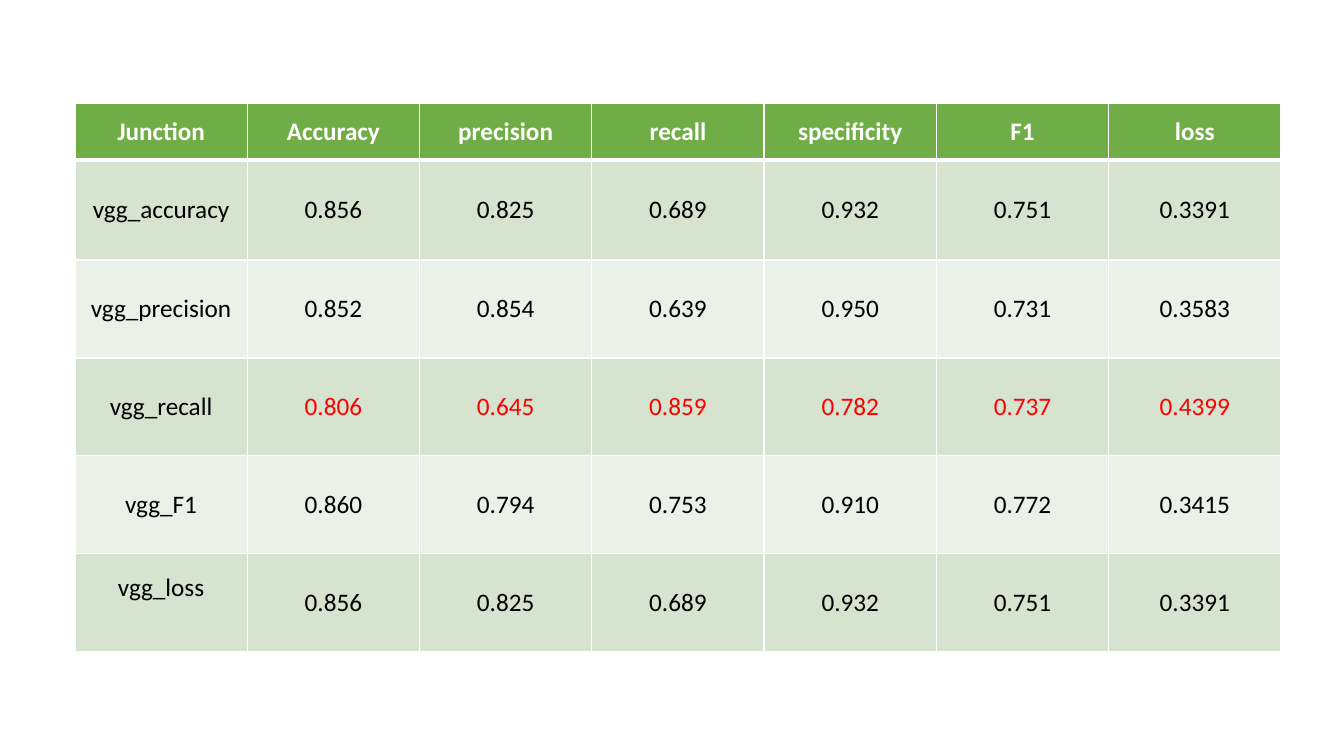
from lxml import etree
from pptx import Presentation
from pptx.dml.color import RGBColor
from pptx.enum.text import MSO_ANCHOR, PP_ALIGN
from pptx.oxml.ns import qn
from pptx.util import Emu, Pt

MIDDLE = MSO_ANCHOR.MIDDLE
CENTER = PP_ALIGN.CENTER

WHITE = RGBColor(0xFF, 0xFF, 0xFF)
BLACK = RGBColor(0x00, 0x00, 0x00)
RED = RGBColor(0xFF, 0x00, 0x00)
GREEN = RGBColor(0x70, 0xAD, 0x47)
PALE_GREEN = RGBColor(0xD5, 0xE3, 0xCF)
LIGHT_GREEN = RGBColor(0xEB, 0xF1, 0xE9)

FONT = "Calibri"
BLANK_LAYOUT = 6
HIGHLIGHTED_MODEL = "vgg_recall"
RAISED_LABEL = "vgg_loss"
RAISED_MARGIN = 35
ROW_HEIGHTS = [57, 100, 98, 98, 98, 98]
RESULTS = [
    ["Junction", "Accuracy", "precision", "recall", "specificity", "F1", "loss"],
    ["vgg_accuracy", "0.856", "0.825", "0.689", "0.932", "0.751", "0.3391"],
    ["vgg_precision", "0.852", "0.854", "0.639", "0.950", "0.731", "0.3583"],
    ["vgg_recall", "0.806", "0.645", "0.859", "0.782", "0.737", "0.4399"],
    ["vgg_F1", "0.860", "0.794", "0.753", "0.910", "0.772", "0.3415"],
    ["vgg_loss", "0.856", "0.825", "0.689", "0.932", "0.751", "0.3391"],
]


def px(length):
    """Turn pixels at 100.8 to the inch into EMU."""
    return Emu(round(length * 914400 / 100.8))


def set_borders(cell, top, bottom):
    """Give a cell white borders, with top and bottom widths in points."""
    properties = cell._tc.get_or_add_tcPr()
    for side, width in (("L", 1), ("R", 1), ("T", top), ("B", bottom)):
        line = etree.SubElement(properties, qn(f"a:ln{side}"), w=str(Pt(width)))
        fill = etree.SubElement(line, qn("a:solidFill"))
        etree.SubElement(fill, qn("a:srgbClr"), val=str(WHITE))


def fill_cell(cell, text, background, color, bold):
    """Write centred text on a plain background."""
    cell.fill.solid()
    cell.fill.fore_color.rgb = background
    cell.vertical_anchor = MIDDLE
    paragraph = cell.text_frame.paragraphs[0]
    paragraph.alignment = CENTER
    run = paragraph.add_run()
    run.text = text
    run.font.name = FONT
    run.font.size = Pt(18)
    run.font.bold = bold
    run.font.color.rgb = color


def add_results_table(slide, left, top, width):
    """Add the metrics table with equal columns across the given width."""
    column_count = len(RESULTS[0])
    table = slide.shapes.add_table(
        len(RESULTS), column_count, px(left), px(top), px(width), px(sum(ROW_HEIGHTS))
    ).table
    for column in table.columns:
        column.width = px(width / column_count)
    for row_index, values in enumerate(RESULTS):
        table.rows[row_index].height = px(ROW_HEIGHTS[row_index])
        is_header = row_index == 0
        band = PALE_GREEN if row_index % 2 else LIGHT_GREEN
        for column_index, value in enumerate(values):
            cell = table.cell(row_index, column_index)
            is_highlighted = column_index > 0 and values[0] == HIGHLIGHTED_MODEL
            body_color = RED if is_highlighted else BLACK
            set_borders(cell, 3 if row_index == 1 else 1, 3 if is_header else 1)
            fill_cell(
                cell,
                value,
                GREEN if is_header else band,
                WHITE if is_header else body_color,
                is_header,
            )
            if value == RAISED_LABEL:
                cell.margin_bottom = px(RAISED_MARGIN)


def main():
    """Build the slide and save it."""
    presentation = Presentation()
    presentation.slide_width = px(1344)
    presentation.slide_height = px(756)
    slide = presentation.slides.add_slide(presentation.slide_layouts[BLANK_LAYOUT])
    add_results_table(slide, 75, 103, 1206)
    presentation.save("out.pptx")


if __name__ == "__main__":
    main()
